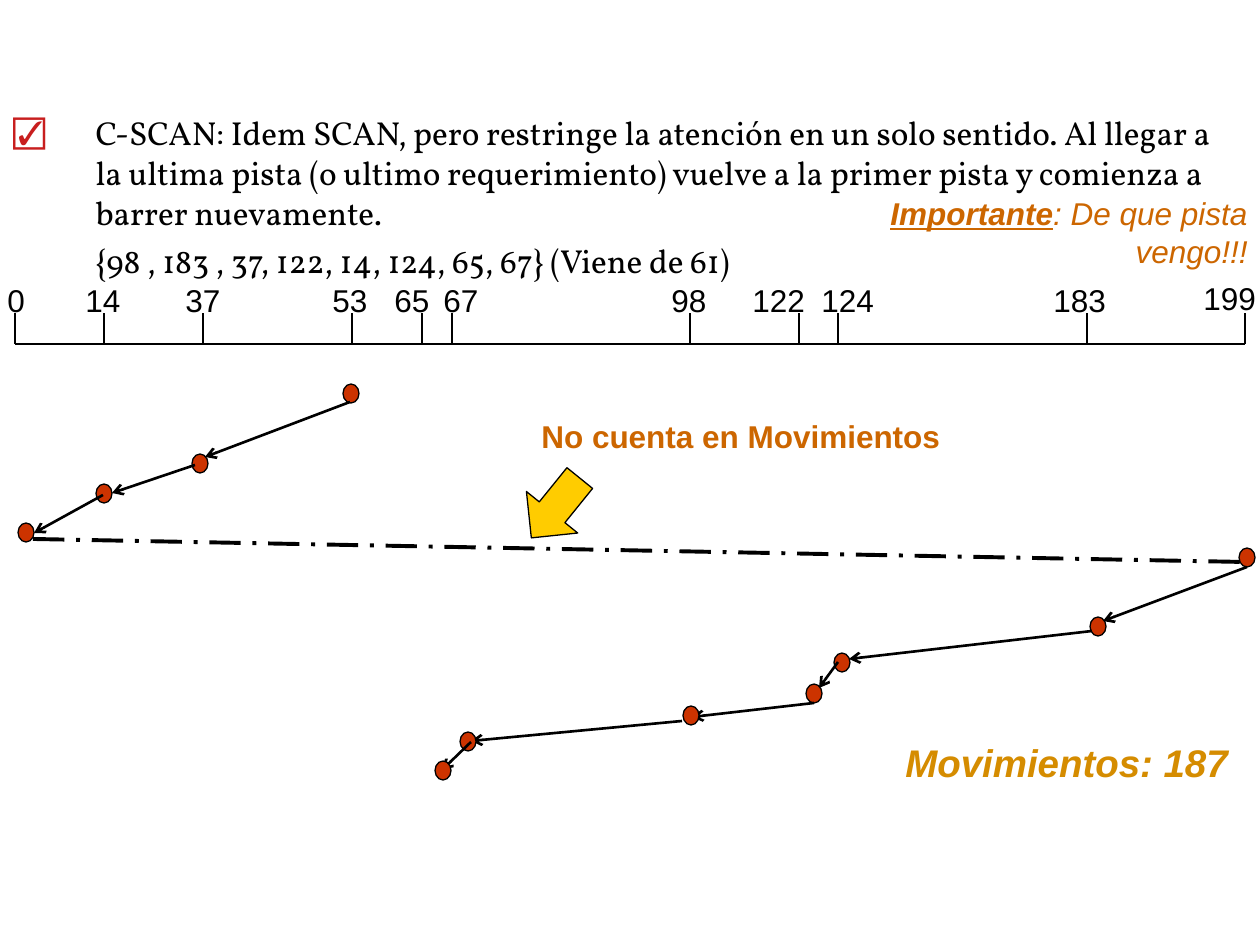
"""Draw the C-SCAN disk scheduling slide."""
from dataclasses import dataclass
from typing import Optional

from lxml.etree import SubElement
from pptx import Presentation
from pptx.dml.color import RGBColor
from pptx.enum.dml import MSO_LINE
from pptx.enum.shapes import MSO_CONNECTOR, MSO_SHAPE
from pptx.enum.text import MSO_ANCHOR, MSO_AUTO_SIZE, PP_ALIGN
from pptx.oxml.ns import qn
from pptx.util import Pt

SCALE = 914400 / 126
HUES = {
    "ink": "000000", "dot": "CC3300", "arrow": "FFCC00",
    "note": "CC6600", "total": "D58C00", "check": "C81E1E",
}
AXIS = 344
TICK = 31
DOT = (16, 19)


@dataclass(frozen=True)
class Mark:
    track: int
    left: int
    tick: int
    top: int = 275


@dataclass(frozen=True)
class Run:
    text: str
    size: int = 18
    hue: str = "ink"
    bold: bool = False
    slant: bool = False
    under: bool = False
    font: str = "Arial"


@dataclass(frozen=True)
class Step:
    dot: tuple[int, int]
    line: Optional[tuple[int, int, int, int]] = None
    jump: bool = False


MARKS = [
    Mark(0, -5, 15), Mark(14, 73, 104), Mark(37, 173, 203),
    Mark(53, 320, 352), Mark(65, 382, 422), Mark(67, 431, 452),
    Mark(98, 659, 690), Mark(122, 740, 799), Mark(124, 809, 838),
    Mark(183, 1041, 1087), Mark(199, 1191, 1245, 273),
]
STEPS = [
    Step((343, 384)),
    Step((192, 454), (350, 402, 205, 457)),
    Step((96, 484), (195, 465, 112, 493)),
    Step((18, 523), (103, 495, 34, 533)),
    Step((1239, 548), (33, 539, 1245, 562), jump=True),
    Step((1090, 617), (1247, 567, 1103, 621)),
    Step((834, 653), (1092, 631, 849, 659)),
    Step((806, 684), (838, 662, 819, 688)),
    Step((683, 706), (814, 703, 692, 717)),
    Step((460, 732), (682, 721, 471, 741)),
    Step((435, 761), (471, 742, 442, 770)),
]
RULE = ("C-SCAN: Idem SCAN, pero restringe la atención en un solo sentido. "
        "Al llegar a la ultima pista (o ultimo requerimiento) vuelve a la "
        "primer pista y comienza a barrer nuevamente.")
QUEUE = "{98 , 183 , 37, 122, 14, 124, 65, 67} (Viene de 61)"


def px(*vals: int) -> list[int]:
    return [round(val * SCALE) for val in vals]


def tint(hue: str) -> RGBColor:
    return RGBColor.from_string(HUES[hue])


def add_run(para, run: Run) -> None:
    part = para.add_run()
    part.text = run.text
    font = part.font
    font.name, font.size = run.font, Pt(run.size)
    font.bold, font.italic, font.underline = run.bold, run.slant, run.under
    font.color.rgb = tint(run.hue)


def add_text(slide, box: tuple[int, int, int, int], runs: list[Run],
             wrap: bool = False, align=PP_ALIGN.LEFT) -> None:
    frame = slide.shapes.add_textbox(*px(*box)).text_frame
    frame.word_wrap = wrap
    para = frame.paragraphs[0]
    para.alignment = align
    for run in runs:
        add_run(para, run)


def add_line(slide, ends: tuple[int, int, int, int], width: float = 1.5,
             head: bool = False, dash: bool = False) -> None:
    link = slide.shapes.add_connector(MSO_CONNECTOR.STRAIGHT, *px(*ends))
    link.line.width = Pt(width)
    link.line.color.rgb = tint("ink")
    if dash:
        link.line.dash_style = MSO_LINE.LONG_DASH_DOT
    if head:
        SubElement(link.line._get_or_add_ln(), qn("a:tailEnd"), type="arrow")
    SubElement(link._element.spPr, qn("a:effectLst"))


def add_form(slide, kind, box: tuple[int, int, int, int], hue: str,
             turn: int = 0) -> None:
    form = slide.shapes.add_shape(kind, *px(*box))
    form.shadow.inherit = False
    form.fill.solid()
    form.fill.fore_color.rgb = tint(hue)
    form.line.color.rgb = tint("ink")
    form.line.width = Pt(0.75)
    form.rotation = turn


def add_item(para, text: str, check: bool) -> None:
    para.line_spacing = 1.0
    para.space_before = Pt(4.8)
    props = para._p.get_or_add_pPr()
    inset = px(83)[0]
    props.set("marL", str(inset))
    props.set("indent", str(-inset if check else 0))
    if check:
        shade = SubElement(props, qn("a:buClr"))
        SubElement(shade, qn("a:srgbClr"), val=HUES["check"])
        SubElement(props, qn("a:buChar"), char="☑")
    else:
        SubElement(props, qn("a:buNone"))
    add_run(para, Run(text, 19, font="Vollkorn"))


def fill_body(slide) -> None:
    title = slide.shapes.title._element
    title.getparent().remove(title)
    body = slide.placeholders[1]
    body.left, body.top, body.width, body.height = px(0, 106, 1245, 169)
    frame = body.text_frame
    frame.auto_size = MSO_AUTO_SIZE.NONE
    frame.vertical_anchor = MSO_ANCHOR.TOP
    add_item(frame.paragraphs[0], RULE, True)
    add_item(frame.add_paragraph(), QUEUE, False)


def draw_axis(slide) -> None:
    add_line(slide, (MARKS[0].tick, AXIS, MARKS[-1].tick, AXIS))
    for mark in MARKS:
        label = str(mark.track)
        add_line(slide, (mark.tick, AXIS, mark.tick, AXIS - TICK))
        add_text(slide, (mark.left, mark.top, 28 + 18 * len(label), 50),
                 [Run(label)])


def draw_route(slide) -> None:
    for step in STEPS:
        if step.line:
            add_line(slide, step.line, 2.25 if step.jump else 1.5,
                     head=not step.jump, dash=step.jump)
        add_form(slide, MSO_SHAPE.OVAL, step.dot + DOT, "dot")


def main() -> None:
    deck = Presentation()
    deck.slide_width, deck.slide_height = px(1260, 945)
    slide = deck.slides.add_slide(deck.slide_layouts[1])
    fill_body(slide)
    add_text(slide, (843, 188, 417, 88), [
        Run("Importante", hue="note", bold=True, slant=True, under=True),
        Run(": De que pista vengo!!!", hue="note", slant=True),
    ], wrap=True, align=PP_ALIGN.RIGHT)
    draw_axis(slide)
    draw_route(slide)
    add_form(slide, MSO_SHAPE.RIGHT_ARROW, (517, 475, 77, 66), "arrow", 129)
    add_text(slide, (529, 411, 441, 50),
             [Run("No cuenta en Movimientos", hue="note", bold=True)],
             wrap=True)
    add_text(slide, (893, 733, 348, 106),
             [Run("Movimientos: 187", 22, "total", bold=True, slant=True)])
    deck.save("out.pptx")


if __name__ == "__main__":
    main()
